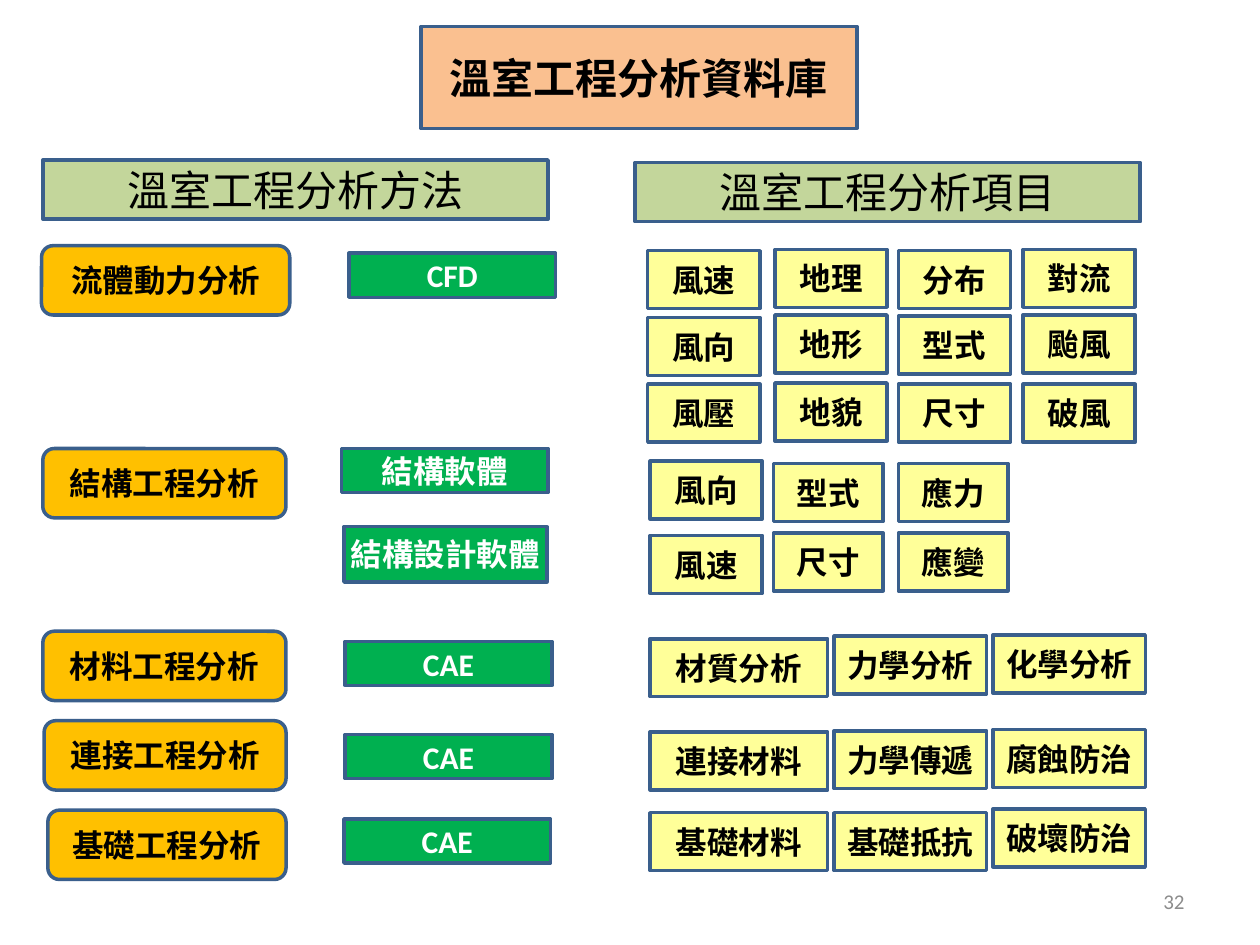
from dataclasses import dataclass

from pptx import Presentation
from pptx.dml.color import RGBColor
from pptx.enum.shapes import MSO_SHAPE
from pptx.enum.text import MSO_ANCHOR, MSO_AUTO_SIZE, PP_ALIGN
from pptx.oxml import parse_xml
from pptx.oxml.ns import nsdecls
from pptx.util import Inches, Pt


@dataclass(frozen=True)
class Theme:
    latin: str = "Calibri"
    chinese: str = "Noto Sans CJK SC"
    outline: str = "3A5F8C"
    title_fill: str = "FAC090"
    heading_fill: str = "C3D69B"
    category_fill: str = "FFC000"
    tool_fill: str = "00B050"
    item_fill: str = "FFFF99"
    dark: str = "000000"
    light: str = "FFFFFF"
    muted: str = "8C8C8C"
    large: int = 24
    normal: int = 18
    small: int = 12
    line: int = 2


THEME = Theme()


@dataclass(frozen=True)
class Style:
    fill: str
    font: str = THEME.chinese
    color: str = THEME.dark
    size: int = THEME.normal
    bold: bool = True
    shape: MSO_SHAPE = MSO_SHAPE.RECTANGLE


TITLE = Style(THEME.title_fill, size=THEME.large)
HEADING = Style(THEME.heading_fill, size=THEME.large, bold=False)
CATEGORY = Style(THEME.category_fill, shape=MSO_SHAPE.ROUNDED_RECTANGLE)
TOOL = Style(THEME.tool_fill, font=THEME.latin, color=THEME.light)
ITEM = Style(THEME.item_fill, font=THEME.latin)


@dataclass(frozen=True)
class Label:
    text: str
    left: float
    top: float
    width: float
    height: float


@dataclass(frozen=True)
class Column:
    """Equal-sized item boxes stacked at the given tops."""
    left: float
    width: float
    tops: tuple[float, ...]
    texts: tuple[str, ...]


ITEM_HEIGHT = 0.46

HEADINGS = [
    Label("溫室工程分析方法", 0.34, 1.27, 4.01, 0.47),
    Label("溫室工程分析項目", 5.04, 1.29, 4.01, 0.47),
]
CATEGORIES = [
    Label("流體動力分析", 0.33, 1.95, 1.97, 0.55),
    Label("結構工程分析", 0.34, 3.56, 1.93, 0.55),
    Label("材料工程分析", 0.34, 5.01, 1.93, 0.55),
    Label("連接工程分析", 0.35, 5.72, 1.92, 0.55),
    Label("基礎工程分析", 0.38, 6.43, 1.89, 0.55),
]
TOOLS = [
    Label("CFD", 2.77, 2.01, 1.64, 0.35),
    Label("結構軟體", 2.71, 3.56, 1.64, 0.35),
    Label("結構設計軟體", 2.73, 4.18, 1.61, 0.44),
    Label("CAE", 2.74, 5.09, 1.64, 0.35),
    Label("CAE", 2.74, 5.83, 1.64, 0.35),
    Label("CAE", 2.73, 6.5, 1.64, 0.35),
]
ITEM_COLUMNS = [
    # Fluid dynamics
    Column(5.14, 0.89, (1.99, 2.52, 3.05), ("風速", "風向", "風壓")),
    Column(6.15, 0.89, (1.98, 2.5, 3.04), ("地理", "地形", "地貌")),
    Column(7.13, 0.89, (1.99, 2.51, 3.05), ("分布", "型式", "尺寸")),
    Column(8.12, 0.89, (1.98, 2.5, 3.05), ("對流", "颱風", "破風")),
    # Structure
    Column(5.16, 0.89, (3.66, 4.25), ("風向", "風速")),
    Column(6.14, 0.87, (3.68, 4.23), ("型式", "尺寸")),
    Column(7.13, 0.87, (3.68, 4.23), ("應力", "應變")),
    # Materials, connections and foundations
    Column(5.16, 1.41, (5.07, 5.81, 6.45), ("材質分析", "連接材料", "基礎材料")),
    Column(6.62, 1.21, (5.05, 5.8, 6.45), ("力學分析", "力學傳遞", "基礎抵抗")),
    Column(7.88, 1.21, (5.04, 5.79, 6.42), ("化學分析", "腐蝕防治", "破壞防治")),
]


def inches(label: Label) -> list[int]:
    return [Inches(v) for v in (label.left, label.top, label.width, label.height)]


def write_text(box, text: str, style: Style, align: PP_ALIGN = PP_ALIGN.CENTER) -> None:
    frame = box.text_frame
    settings = {
        "word_wrap": False,
        "auto_size": MSO_AUTO_SIZE.NONE,
        "vertical_anchor": MSO_ANCHOR.MIDDLE,
    }
    for name, value in settings.items():
        setattr(frame, name, value)
    para = frame.paragraphs[0]
    para.alignment = align
    span = para.add_run()
    span.text = text
    formats = {"name": style.font, "size": Pt(style.size), "bold": style.bold}
    for name, value in formats.items():
        setattr(span.font, name, value)
    span.font.color.rgb = RGBColor.from_string(style.color)
    if style.font == THEME.chinese:
        east_asian = parse_xml(f'<a:ea {nsdecls("a")} typeface="{style.font}"/>')
        span.font._element.append(east_asian)


def paint(box, style: Style) -> None:
    box.fill.solid()
    box.fill.fore_color.rgb = RGBColor.from_string(style.fill)
    box.line.color.rgb = RGBColor.from_string(THEME.outline)
    box.line.width = Pt(THEME.line)


def add_title(page, label: Label) -> None:
    """Turn the title placeholder into a rounded, filled box."""
    box = page.shapes.title
    box.left, box.top, box.width, box.height = inches(label)
    geometry = f'<a:prstGeom {nsdecls("a")} prst="roundRect"><a:avLst/></a:prstGeom>'
    box._element.spPr.append(parse_xml(geometry))
    paint(box, TITLE)
    write_text(box, label.text, TITLE)


def add_label(page, label: Label, style: Style) -> None:
    box = page.shapes.add_shape(style.shape, *inches(label))
    box.shadow.inherit = False
    paint(box, style)
    write_text(box, label.text, style)


def add_column(page, column: Column) -> None:
    for top, text in zip(column.tops, column.texts):
        add_label(page, Label(text, column.left, top, column.width, ITEM_HEIGHT), ITEM)


def add_page_number(page, label: Label) -> None:
    style = Style("", THEME.latin, THEME.muted, THEME.small, False)
    write_text(page.shapes.add_textbox(*inches(label)), label.text, style, PP_ALIGN.RIGHT)


def main() -> None:
    deck = Presentation()
    deck.slide_width, deck.slide_height = Inches(10), Inches(7.5)
    page = deck.slides.add_slide(deck.slide_layouts.get_by_name("Title Only"))
    add_title(page, Label("溫室工程分析資料庫", 3.34, 0.21, 3.46, 0.81))
    for labels, style in ((HEADINGS, HEADING), (CATEGORIES, CATEGORY), (TOOLS, TOOL)):
        for label in labels:
            add_label(page, label, style)
    for column in ITEM_COLUMNS:
        add_column(page, column)
    add_page_number(page, Label("32", 7.17, 6.95, 2.33, 0.4))
    deck.save("out.pptx")


if __name__ == "__main__":
    main()
